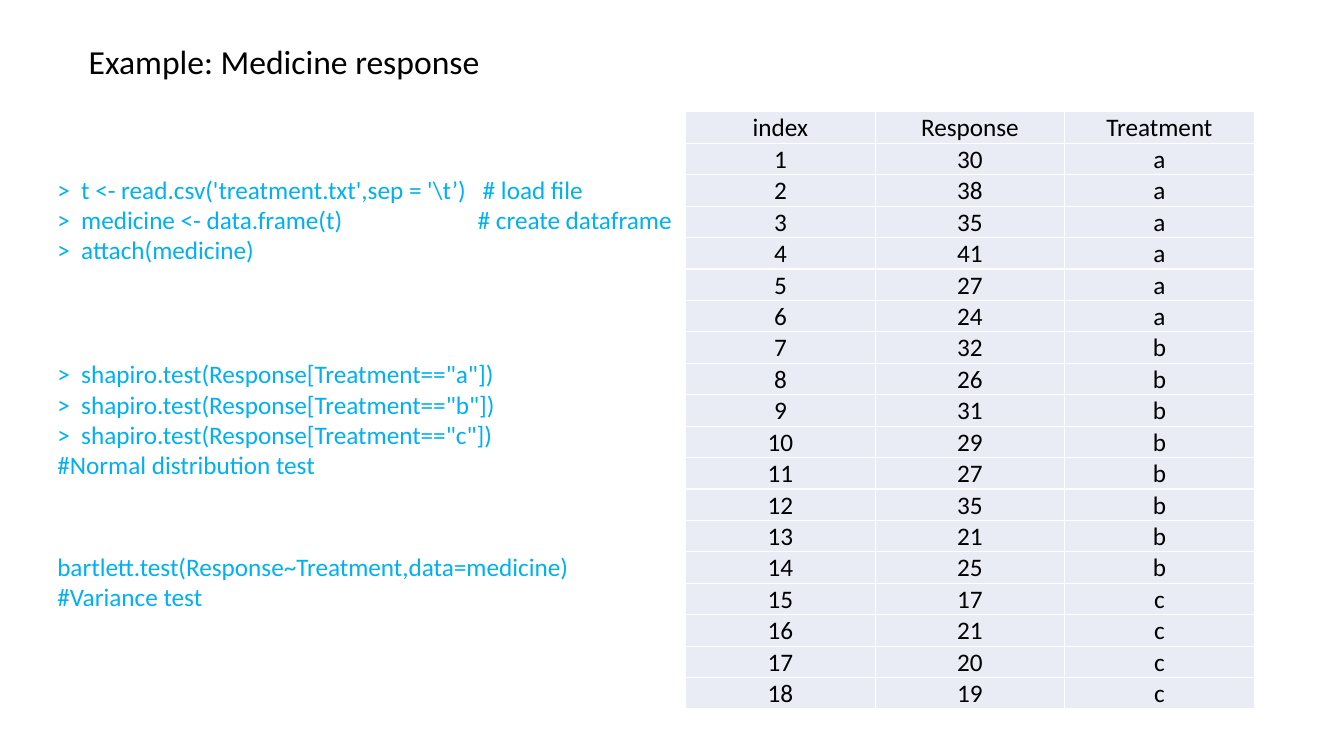
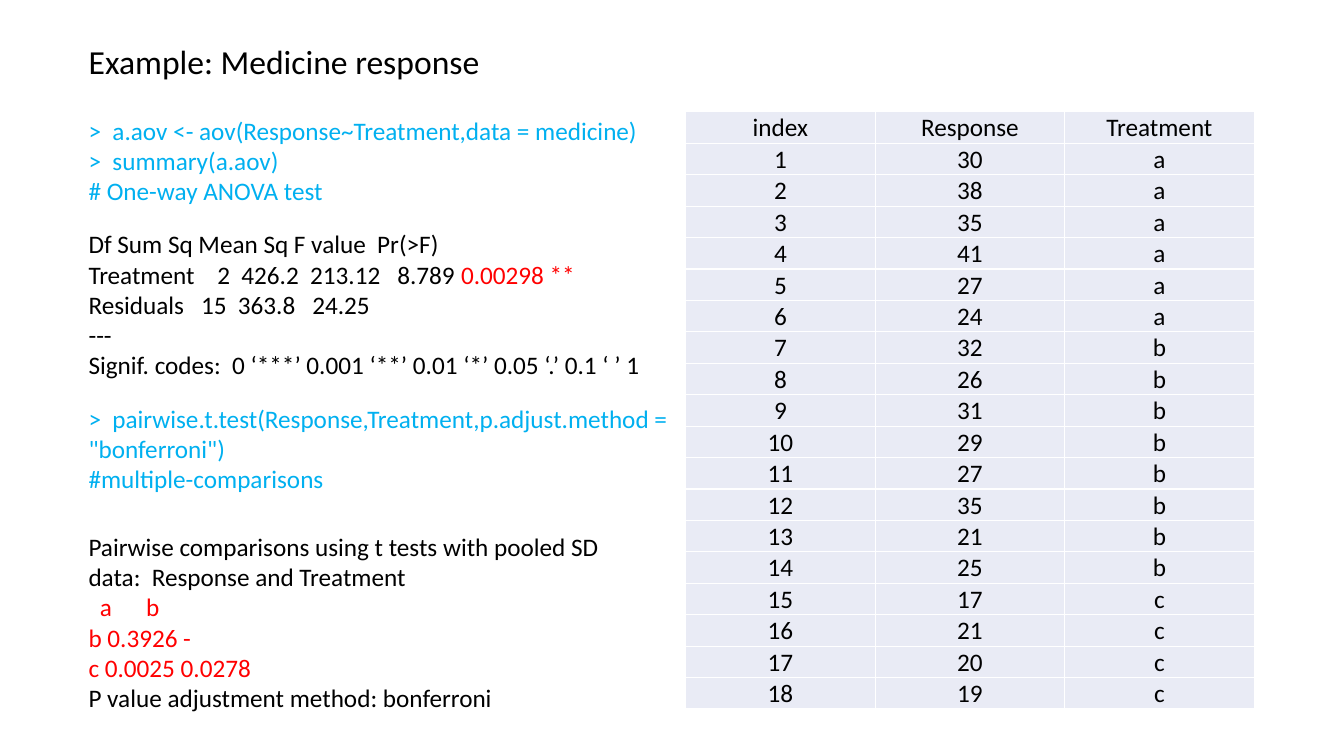
from lxml import etree
from pptx import Presentation
from pptx.dml.color import RGBColor
from pptx.enum import text
from pptx.oxml import ns
from pptx.util import Inches, Pt

BLACK = RGBColor(0x00, 0x00, 0x00)
WHITE = RGBColor(0xFF, 0xFF, 0xFF)
CODE_BLUE = RGBColor(0x00, 0xB0, 0xF0)
RESULT_RED = RGBColor(0xFF, 0x00, 0x00)
CELL_FILL = RGBColor(0xE9, 0xEB, 0xF5)
FONT = "Calibri"
BODY_SIZE = 18

TITLE = "Example: Medicine response"
HEADER = ("index", "Response", "Treatment")
RESPONSES = {
    "a": (30, 38, 35, 41, 27, 24),
    "b": (32, 26, 31, 29, 27, 35, 21, 25),
    "c": (17, 21, 20, 19),
}
TABLE_WIDTH, TABLE_HEIGHT = 5.64, 5.93
TAB_STOPS = (3, 4)

SLIDES = [
    [
        ((0.47, 1.68, 7.1, 1.01), [
            [(">  t <- read.csv('treatment.txt',sep = '\\t’)   # load file", CODE_BLUE)],
            [(">  medicine <- data.frame(t) \t\t   # create dataframe", CODE_BLUE)],
            [(">  attach(medicine)", CODE_BLUE)],
        ]),
        ((0.47, 3.51, 6.19, 1.31), [
            [('>  shapiro.test(Response[Treatment=="a"])', CODE_BLUE)],
            [('>  shapiro.test(Response[Treatment=="b"])', CODE_BLUE)],
            [('>  shapiro.test(Response[Treatment=="c"])', CODE_BLUE)],
            [("#Normal distribution test", CODE_BLUE)],
        ]),
        ((0.47, 5.42, 6.06, 0.71), [
            [("bartlett.test(Response~Treatment,data=medicine)", CODE_BLUE)],
            [("#Variance test", CODE_BLUE)],
        ]),
    ],
    [
        ((0.78, 1.09, 5.89, 1.01), [
            [(">  a.aov <- aov(Response~Treatment,data = medicine)", CODE_BLUE)],
            [(">  summary(a.aov)", CODE_BLUE)],
            [("# One-way ANOVA test", CODE_BLUE)],
        ]),
        ((0.78, 2.22, 6.78, 1.62), [
            [("Df Sum Sq Mean Sq F value  Pr(>F)", BLACK)],
            [("Treatment    2  426.2  213.12   8.789 ", BLACK), ("0.00298 **", RESULT_RED)],
            [("Residuals   15  363.8   24.25", BLACK)],
            [("---", BLACK)],
            [("Signif. codes:  0 ‘***’ 0.001 ‘**’ 0.01 ‘*’ 0.05 ‘.’ 0.1 ‘ ’ 1", BLACK)],
        ]),
        ((0.78, 3.95, 6.67, 1.01), [
            [('>  pairwise.t.test(Response,Treatment,p.adjust.method = "bonferroni")', CODE_BLUE)],
            [("#multiple-comparisons", CODE_BLUE)],
        ]),
        ((0.78, 5.22, 5.5, 1.92), [
            [("Pairwise comparisons using t tests with pooled SD", BLACK)],
            [("data:  Response and Treatment", BLACK)],
            [("  a      b", RESULT_RED)],
            [("b 0.3926 -", RESULT_RED)],
            [("c 0.0025 0.0278", RESULT_RED)],
            [("P value adjustment method: bonferroni", BLACK)],
        ]),
    ],
]


def add_span(para, words, color=BLACK, size=BODY_SIZE):
    span = para.add_run()
    span.text = words
    span.font.name = FONT
    span.font.size = Pt(size)
    span.font.color.rgb = color


def add_borders(cell):
    properties = cell._tc.get_or_add_tcPr()
    for side in ("a:lnL", "a:lnR", "a:lnT", "a:lnB"):
        line = etree.SubElement(properties, ns.qn(side), w=str(Pt(1)))
        fill = etree.SubElement(line, ns.qn("a:solidFill"))
        etree.SubElement(fill, ns.qn("a:srgbClr"), val=str(WHITE))


treatments = [(value, group) for group, values in RESPONSES.items() for value in values]
table_rows = [HEADER] + [(index, *row) for index, row in enumerate(treatments, 1)]

deck = Presentation()
deck.slide_width = Inches(13.33)
deck.slide_height = Inches(7.5)

for blocks in SLIDES:
    page = deck.slides.add_slide(deck.slide_layouts[5])

    title = page.shapes.title
    title.left, title.top = Inches(0.78), Inches(0.36)
    title.width, title.height = Inches(5.5), Inches(0.5)
    title.text_frame.word_wrap = True
    title.text_frame.auto_size = text.MSO_AUTO_SIZE.SHAPE_TO_FIT_TEXT
    title.text_frame.vertical_anchor = text.MSO_ANCHOR.TOP
    title_para = title.text_frame.paragraphs[0]
    title_para.alignment = text.PP_ALIGN.LEFT
    add_span(title_para, TITLE, size=24)

    table = page.shapes.add_table(
        len(table_rows), len(HEADER), Inches(6.8), Inches(1.11),
        Inches(TABLE_WIDTH), Inches(TABLE_HEIGHT)).table
    table.first_row = False
    table.horz_banding = False
    for row, values in zip(table.rows, table_rows):
        row.height = Inches(TABLE_HEIGHT / len(table_rows))
        for cell, value in zip(row.cells, values):
            add_borders(cell)
            cell.fill.solid()
            cell.fill.fore_color.rgb = CELL_FILL
            cell.vertical_anchor = text.MSO_ANCHOR.MIDDLE
            cell.margin_left = cell.margin_right = cell.margin_top = Inches(0.01)
            cell.margin_bottom = 0
            para = cell.text_frame.paragraphs[0]
            para.alignment = text.PP_ALIGN.CENTER
            add_span(para, str(value))

    for place, lines in blocks:
        box = page.shapes.add_textbox(*map(Inches, place))
        frame = box.text_frame
        frame.word_wrap = True
        frame.auto_size = text.MSO_AUTO_SIZE.SHAPE_TO_FIT_TEXT
        for number, spans in enumerate(lines):
            para = frame.add_paragraph() if number else frame.paragraphs[0]
            if any("\t" in words for words, color in spans):
                tabs = etree.SubElement(para._p.get_or_add_pPr(), ns.qn("a:tabLst"))
                for stop in TAB_STOPS:
                    etree.SubElement(tabs, ns.qn("a:tab"), pos=str(Inches(stop)), algn="l")
            for words, color in spans:
                add_span(para, words, color)

deck.save("out.pptx")
